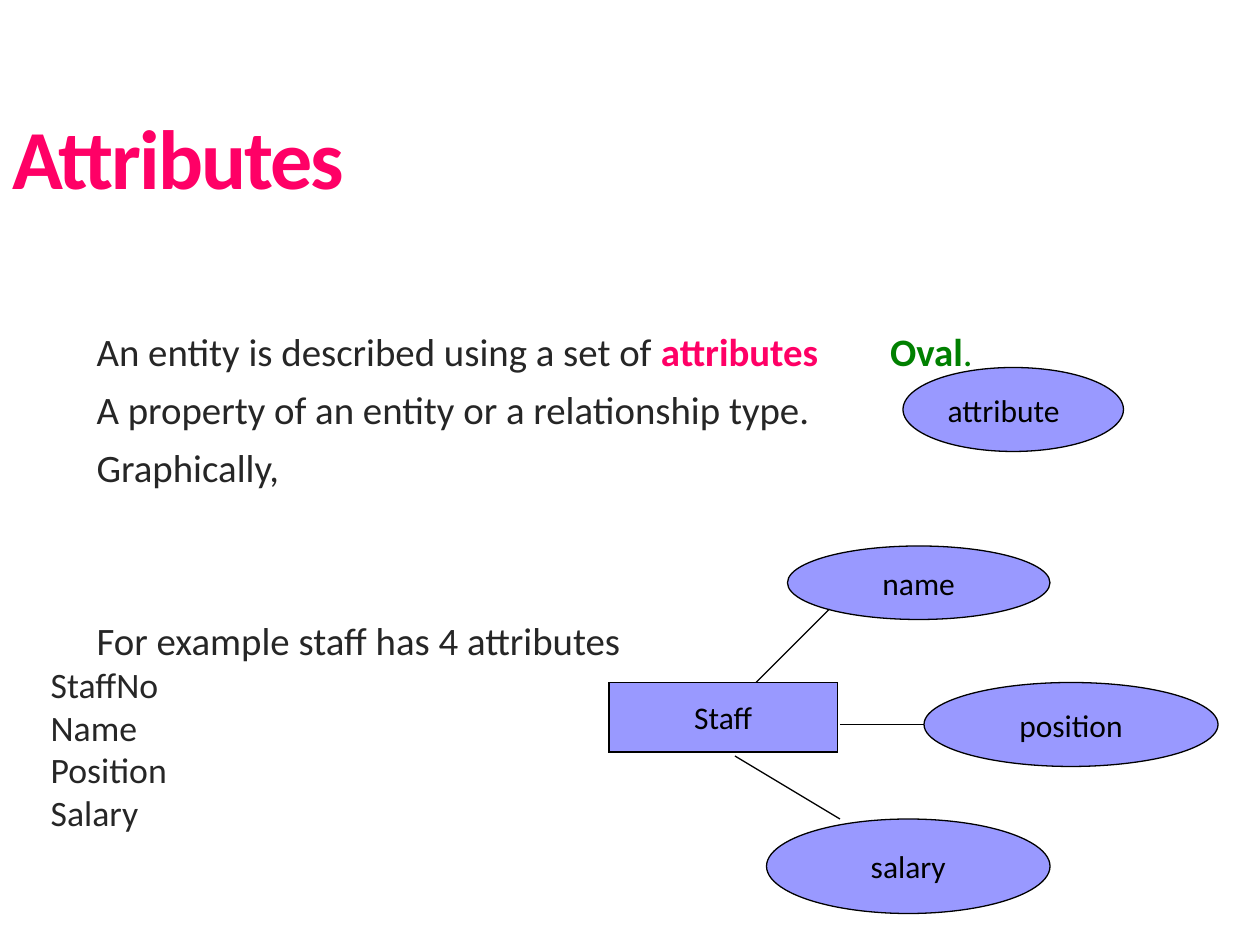
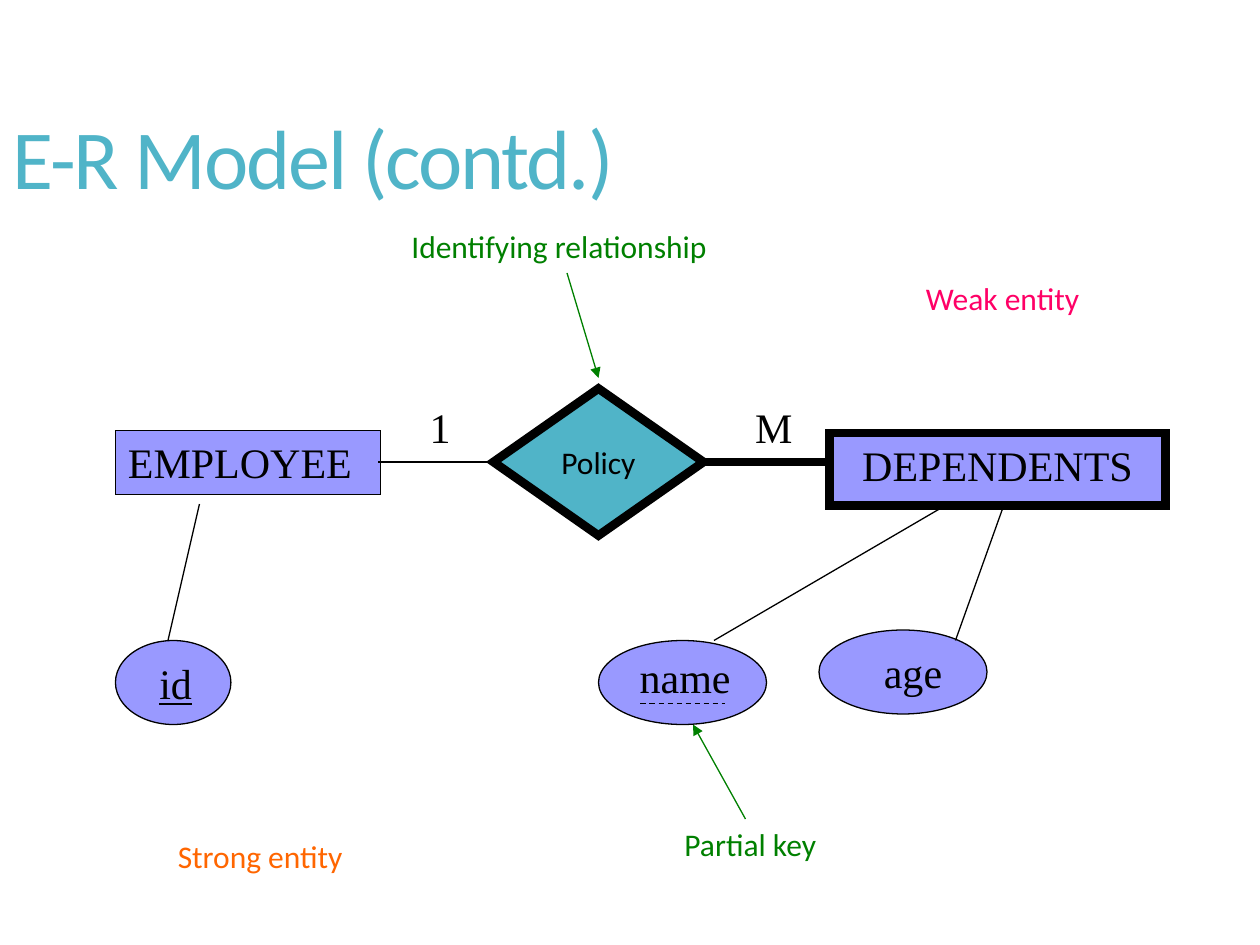
from dataclasses import dataclass

from lxml.etree import SubElement
from pptx import Presentation
from pptx.dml.color import RGBColor
from pptx.enum.dml import MSO_LINE_DASH_STYLE as Dash
from pptx.enum.shapes import MSO_CONNECTOR as Connector, MSO_SHAPE as Preset
from pptx.enum.text import MSO_ANCHOR as Anchor, MSO_AUTO_SIZE as AutoSize, PP_ALIGN as Align
from pptx.oxml.ns import qn
from pptx.util import Pt

PX = 9525  # EMU; 96 px to the inch


@dataclass(frozen=True)
class Theme:
    sans: str = "Calibri"
    serif: str = "Times New Roman"
    ink: str = "000000"
    text: str = "262626"
    pink: str = "FF0066"
    green: str = "008000"
    orange: str = "FF6600"
    teal: str = "50B4C8"
    lilac: str = "9999FF"
    title_size: float = 48
    title_tracking: float = -1.2
    body_size: float = 22.2
    sub_size: float = 20.4
    label_size: float = 18
    entity_size: float = 24
    thin: float = 0.75
    thick: float = 5


THEME = Theme()
TITLE_BOX = (0, 64, 864, 120)
BODY_BOX = (0, 200, 864, 444)
BODY_TOP_INSET = 58
SANS_LABEL = (THEME.sans, THEME.label_size)
SERIF_LABEL = (THEME.serif, THEME.entity_size)

# Levels: first-line indent in px, type size, space before in points
LEVELS = [(64, THEME.body_size, 13), (29, THEME.sub_size, 6)]
EXAMPLE_GAP = 79
OVAL_GAP = 36  # points added to the space before "Oval"

# Lines: level, runs as (text, colour, bold, tracking), own space before
ATTRIBUTE_LINES = [
    (0, [("An entity is described using a set of ", THEME.text, False, 0),
         ("attributes", THEME.pink, True, 0),
         (" ", THEME.pink, True, OVAL_GAP),
         ("Oval", THEME.green, True, 0),
         (".", THEME.green, False, 0)], None),
    (0, [("A property of an entity or a relationship type.", THEME.text, False, 0)], None),
    (0, [("Graphically,", THEME.text, False, 0)], None),
    (0, [("For example staff has 4 attributes", THEME.text, False, 0)], EXAMPLE_GAP),
] + [(1, [(name, THEME.text, False, 0)], None)
     for name in ("StaffNo", "Name", "Position", "Salary")]

# Nodes: preset, box, text, options
STAFF_NODES = [
    (Preset.OVAL, (688, 280, 168, 64), "attribute", {"align": Align.LEFT}),
    (Preset.RECTANGLE, (464, 520, 174, 53), "Staff", {}),
    (Preset.OVAL, (600, 416, 200, 56), "name", {}),
    (Preset.OVAL, (704, 520, 224, 64), "position", {}),
    (Preset.OVAL, (584, 624, 216, 72), "salary", {}),
]
# Links: start x, start y, end x, end y, options
STAFF_LINKS = [
    (632, 464, 576, 520, {}),
    (640, 552, 704, 552, {}),
    (560, 576, 640, 624, {}),
]

ENTITY = {"style": SERIF_LABEL, "grow": True}
POLICY_BACK_NODES = [
    (Preset.RECTANGLE, (88, 328, 202, 49), "EMPLOYEE", {**ENTITY, "align": Align.LEFT}),
    (Preset.OVAL, (456, 488, 128, 64), "", {}),
    (Preset.OVAL, (624, 480, 128, 64), "", {}),
    (Preset.OVAL, (88, 488, 88, 64), "", {}),
]
ARROW = {"colour": THEME.green, "arrow": True}
POLICY_LINKS = [
    (288, 352, 408, 352, {}),
    (488, 536, 552, 536, {"dashed": True}),
    (544, 488, 736, 376, {}),
    (728, 488, 768, 376, {}),
    (128, 488, 152, 384, {}),
    (528, 352, 632, 352, {"width": THEME.thick}),
    (568, 624, 528, 552, ARROW),
    (432, 208, 456, 288, ARROW),
]
POLICY_FRONT_NODES = [
    (Preset.DIAMOND, (376, 296, 160, 112), "Policy",
     {"fill": THEME.teal, "width": THEME.thick}),
    (Preset.RECTANGLE, (632, 330, 256, 55), "DEPENDENTS",
     {**ENTITY, "width": THEME.thick}),
]
# Labels: box, text, style, colour, underlined
POLICY_LABELS = [
    ((478, 492, 96, 48), "name", SERIF_LABEL, THEME.ink, False),
    ((664, 488, 72, 48), "age", SERIF_LABEL, THEME.ink, False),
    ((112, 496, 52, 48), "id", SERIF_LABEL, THEME.ink, True),
    ((318, 301, 44, 48), "1", SERIF_LABEL, THEME.ink, False),
    ((566, 301, 56, 48), "M", SERIF_LABEL, THEME.ink, False),
    ((126, 633, 190, 41), "Strong entity", SANS_LABEL, THEME.orange, False),
    ((304, 168, 312, 41), "Identifying relationship", SANS_LABEL, THEME.green, False),
    ((696, 208, 174, 41), "Weak entity", SANS_LABEL, THEME.pink, False),
    ((512, 624, 160, 41), "Partial key", SANS_LABEL, THEME.green, False),
]


def scaled(lengths):
    return [length * PX for length in lengths]


def place(shape, box):
    shape.left, shape.top, shape.width, shape.height = scaled(box)


def set_font(font, style, colour, bold=False):
    font.name, size = style
    font.size = Pt(size)
    font.color.rgb = RGBColor.from_string(colour)
    font.bold = bold


def track(run, points):
    """Widen or tighten the letter spacing of a run."""
    run._r.get_or_add_rPr().set("spc", str(round(points * 100)))


def add_titled_slide(presentation, layout_index, title, colour, bold=False):
    slide = presentation.slides.add_slide(presentation.slide_layouts[layout_index])
    shape = slide.shapes.title
    place(shape, TITLE_BOX)
    frame = shape.text_frame
    frame.vertical_anchor = Anchor.MIDDLE
    frame.auto_size = AutoSize.NONE
    paragraph = frame.paragraphs[0]
    paragraph.alignment = Align.LEFT
    paragraph.line_spacing = 0.9
    set_font(paragraph.font, (THEME.sans, THEME.title_size), colour, bold)
    run = paragraph.add_run()
    run.text = title
    track(run, THEME.title_tracking)
    return slide


def fill_body(shape, lines):
    place(shape, BODY_BOX)
    frame = shape.text_frame
    frame.auto_size = AutoSize.NONE
    frame.margin_top = BODY_TOP_INSET * PX
    for index, (level, runs, gap) in enumerate(lines):
        paragraph = frame.add_paragraph() if index else frame.paragraphs[0]
        indent, size, space = LEVELS[level]
        paragraph.level = level
        paragraph.line_spacing = 0.75
        paragraph.space_before = Pt((gap or space) if index else 0)
        properties = paragraph._p.get_or_add_pPr()
        properties.set("marL", "0")
        properties.set("indent", str(indent * PX))
        SubElement(properties, qn("a:buNone"))
        set_font(paragraph.font, (THEME.sans, size), THEME.text)
        for text, colour, bold, tracking in runs:
            run = paragraph.add_run()
            run.text = text
            if colour != THEME.text:
                run.font.color.rgb = RGBColor.from_string(colour)
                run.font.bold = bold
            if tracking:
                track(run, tracking)


def add_node(slide, preset, box, text, options):
    shape = slide.shapes.add_shape(preset, *scaled(box))
    shape.shadow.inherit = False
    shape.fill.solid()
    shape.fill.fore_color.rgb = RGBColor.from_string(options.get("fill", THEME.lilac))
    shape.line.color.rgb = RGBColor.from_string(THEME.ink)
    shape.line.width = Pt(options.get("width", THEME.thin))
    SubElement(shape.line._get_or_add_ln(), qn("a:miter"), lim="800000")
    if not text:
        return
    grow = options.get("grow", False)
    frame = shape.text_frame
    frame.word_wrap = grow
    frame.auto_size = AutoSize.SHAPE_TO_FIT_TEXT if grow else AutoSize.NONE
    frame.vertical_anchor = Anchor.TOP if grow else Anchor.MIDDLE
    paragraph = frame.paragraphs[0]
    paragraph.text = text
    paragraph.alignment = options.get("align", Align.CENTER)
    set_font(paragraph.font, options.get("style", SANS_LABEL), THEME.ink)


def add_link(slide, x1, y1, x2, y2, options):
    link = slide.shapes.add_connector(Connector.STRAIGHT, *scaled((x1, y1, x2, y2)))
    link.line.color.rgb = RGBColor.from_string(options.get("colour", THEME.ink))
    link.line.width = Pt(options.get("width", THEME.thin))
    if options.get("dashed"):
        link.line.dash_style = Dash.DASH
    if options.get("arrow"):
        SubElement(link.line._get_or_add_ln(), qn("a:tailEnd"), type="triangle")
    SubElement(link._element.spPr, qn("a:effectLst"))


def add_label(slide, box, text, style, colour, underlined):
    frame = slide.shapes.add_textbox(*scaled(box)).text_frame
    frame.word_wrap = True
    frame.auto_size = AutoSize.NONE
    paragraph = frame.paragraphs[0]
    paragraph.text = text
    set_font(paragraph.font, style, colour)
    paragraph.font.underline = underlined


def add_all(add_part, slide, parts):
    for part in parts:
        add_part(slide, *part)


def main():
    presentation = Presentation()
    presentation.slide_width, presentation.slide_height = scaled((960, 720))

    attributes = add_titled_slide(presentation, 1, "Attributes", THEME.pink, bold=True)
    fill_body(attributes.placeholders[1], ATTRIBUTE_LINES)
    add_all(add_node, attributes, STAFF_NODES)
    add_all(add_link, attributes, STAFF_LINKS)

    model = add_titled_slide(presentation, 5, "E-R Model (contd.)", THEME.teal)
    add_all(add_node, model, POLICY_BACK_NODES)
    add_all(add_link, model, POLICY_LINKS)
    add_all(add_node, model, POLICY_FRONT_NODES)
    add_all(add_label, model, POLICY_LABELS)

    presentation.save("out.pptx")


if __name__ == "__main__":
    main()
